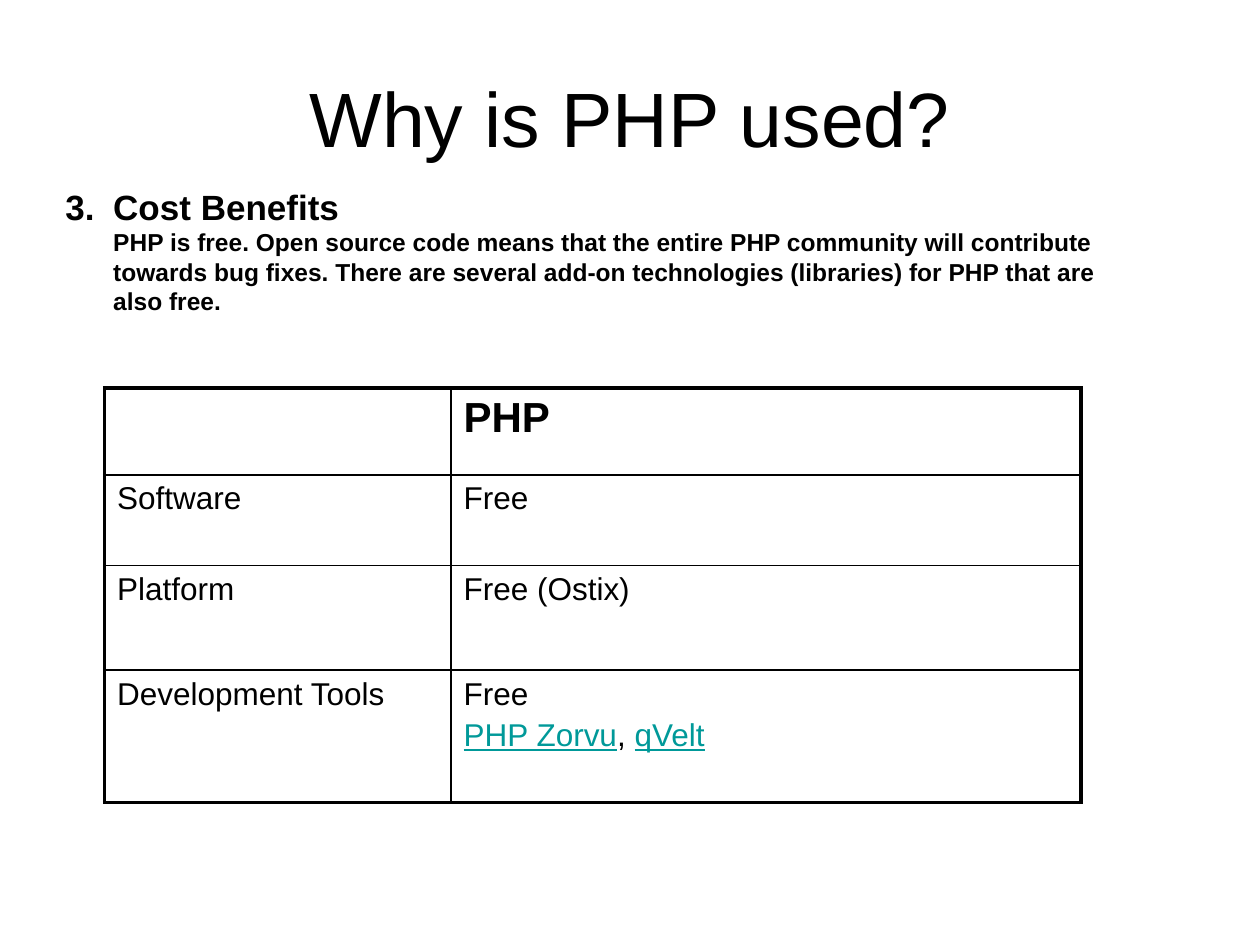
import pptx
import pptx.dml.color
import pptx.enum.text
import pptx.oxml.ns
import pptx.util
from lxml import etree

Inches, Pt = pptx.util.Inches, pptx.util.Pt

COLORS = {"text": "000000", "paper": "FFFFFF", "link": "009999"}
FONT = "Arial"
TITLE = "Why is PHP used?"
POINT_NUMBER = 3
POINT_HEADING = "Cost Benefits"
POINT_BODY = (
    "PHP is free. Open source code means that the entire PHP community will "
    "contribute towards bug fixes. There are several add-on technologies "
    "(libraries) for PHP that are also free."
)
# Each cell is a list of paragraphs, each paragraph a list of (words, style).
ROWS = [
    [[], [[("PHP", "header")]]],
    [[[("Software", "body")]], [[("Free", "body")]]],
    [[[("Platform", "body")]], [[("Free (Ostix)", "body")]]],
    [
        [[("Development Tools", "body")]],
        [
            [("Free", "body")],
            [("PHP Zorvu", "link"), (", ", "body"), ("qVelt", "link")],
        ],
    ],
]
STYLES = {
    "header": {"size": 24, "bold": True},
    "body": {"size": 18},
    "link": {"size": 18, "color": "link", "underline": True},
}
COLUMN_WIDTHS = [2.75, 5]
ROW_HEIGHTS = [0.69, 0.72, 0.83, 1.05]
TABLE_LEFT, TABLE_TOP = 0.83, 3.08
OUTER_LINE, INNER_LINE = 2.25, 1
INDENT = 0.38


def format_run(run, size, bold=False, color="text", underline=False):
    run.font.name = FONT
    run.font.size = Pt(size)
    run.font.bold = bold
    run.font.underline = underline
    run.font.color.rgb = pptx.dml.color.RGBColor.from_string(COLORS[color])


def add_element(parent, tag, **attributes):
    element = etree.SubElement(parent, pptx.oxml.ns.qn(tag))
    for name, value in attributes.items():
        element.set(name, str(value))
    return element


def add_title(slide):
    title = slide.shapes.title
    title.left, title.top = Inches(0.5), Inches(0.3)
    title.width, title.height = Inches(9), Inches(1.25)
    title.text_frame.text = TITLE
    title.text_frame.vertical_anchor = pptx.enum.text.MSO_ANCHOR.MIDDLE
    paragraph = title.text_frame.paragraphs[0]
    paragraph.alignment = pptx.enum.text.PP_ALIGN.CENTER
    format_run(paragraph.runs[0], 44)


def add_numbered_point(slide):
    box = slide.shapes.add_textbox(
        Inches(0.42), Inches(1.42), Inches(8.69), Inches(1.6))
    box.text_frame.word_wrap = True
    paragraph = box.text_frame.paragraphs[0]
    paragraph.text = POINT_HEADING + "\v" + POINT_BODY
    for run, size in zip(paragraph.runs, (20, 14)):
        format_run(run, size, bold=True)
    properties = paragraph._p.get_or_add_pPr()
    properties.set("marL", str(Inches(INDENT)))
    properties.set("indent", str(-Inches(INDENT)))
    add_element(properties, "a:buFont", typeface=FONT)
    add_element(properties, "a:buAutoNum", type="arabicPeriod", startAt=POINT_NUMBER)


def set_borders(cell, outer_sides):
    properties = cell._tc.get_or_add_tcPr()
    for side in "LRTB":
        width = OUTER_LINE if side in outer_sides else INNER_LINE
        line = add_element(properties, "a:ln" + side, w=Pt(width))
        fill = add_element(line, "a:solidFill")
        add_element(fill, "a:srgbClr", val=COLORS["text"])


def fill_cell(cell, paragraphs):
    cell.fill.solid()
    cell.fill.fore_color.rgb = pptx.dml.color.RGBColor.from_string(COLORS["paper"])
    frame = cell.text_frame
    for index, pieces in enumerate(paragraphs):
        paragraph = frame.add_paragraph() if index else frame.paragraphs[0]
        paragraph.space_before = Pt(0.2 * STYLES[pieces[0][1]]["size"])
        for words, style in pieces:
            run = paragraph.add_run()
            run.text = words
            format_run(run, **STYLES[style])


def add_cost_table(slide):
    table = slide.shapes.add_table(
        len(ROW_HEIGHTS), len(COLUMN_WIDTHS), Inches(TABLE_LEFT), Inches(TABLE_TOP),
        Inches(sum(COLUMN_WIDTHS)), Inches(sum(ROW_HEIGHTS))).table
    table.first_row = table.horz_banding = False
    for column, width in zip(table.columns, COLUMN_WIDTHS):
        column.width = Inches(width)
    for row, height in zip(table.rows, ROW_HEIGHTS):
        row.height = Inches(height)
    for row_index, cells in enumerate(ROWS):
        for column_index, paragraphs in enumerate(cells):
            cell = table.cell(row_index, column_index)
            edges = {
                "L": column_index == 0,
                "R": column_index == len(COLUMN_WIDTHS) - 1,
                "T": row_index == 0,
                "B": row_index == len(ROWS) - 1,
            }
            set_borders(cell, [side for side, is_outer in edges.items() if is_outer])
            fill_cell(cell, paragraphs)


def main():
    presentation = pptx.Presentation()
    presentation.slide_width, presentation.slide_height = Inches(10), Inches(7.5)
    slide = presentation.slides.add_slide(
        presentation.slide_layouts.get_by_name("Title Only"))
    add_title(slide)
    add_numbered_point(slide)
    add_cost_table(slide)
    presentation.save("out.pptx")


if __name__ == "__main__":
    main()
